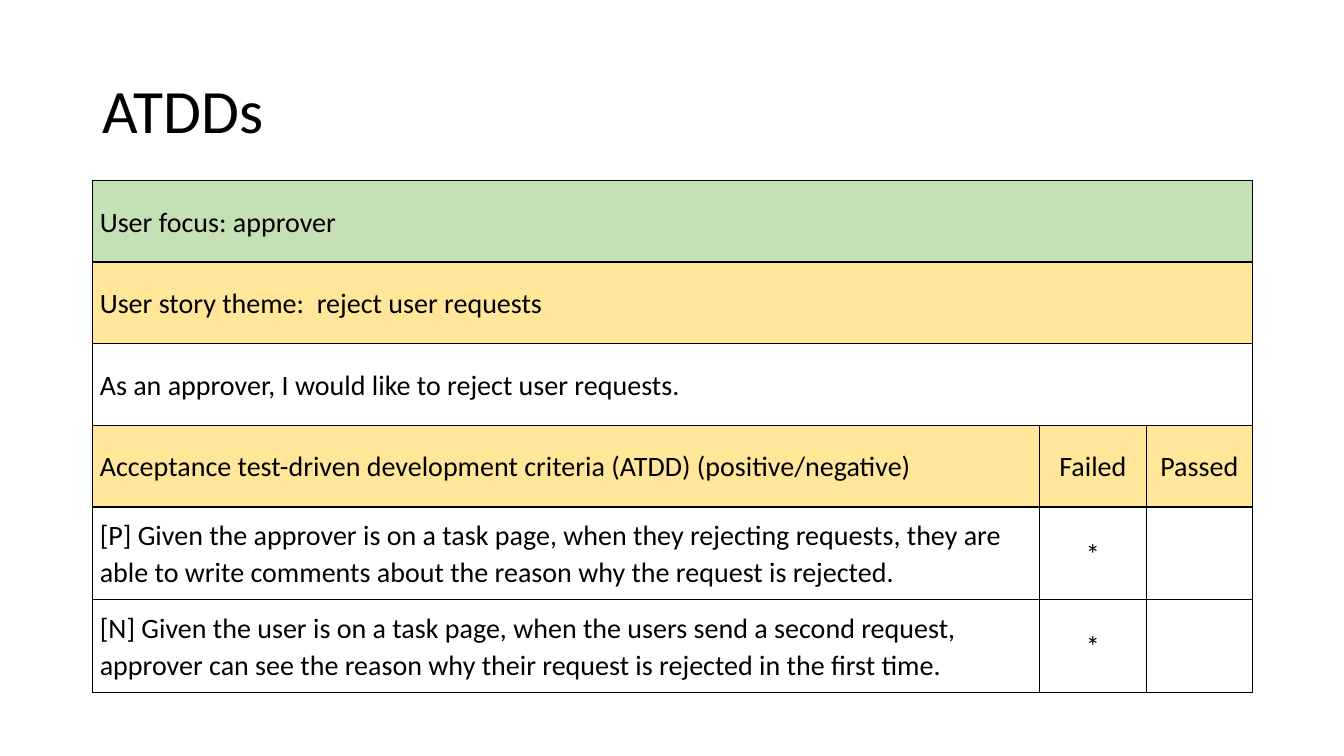
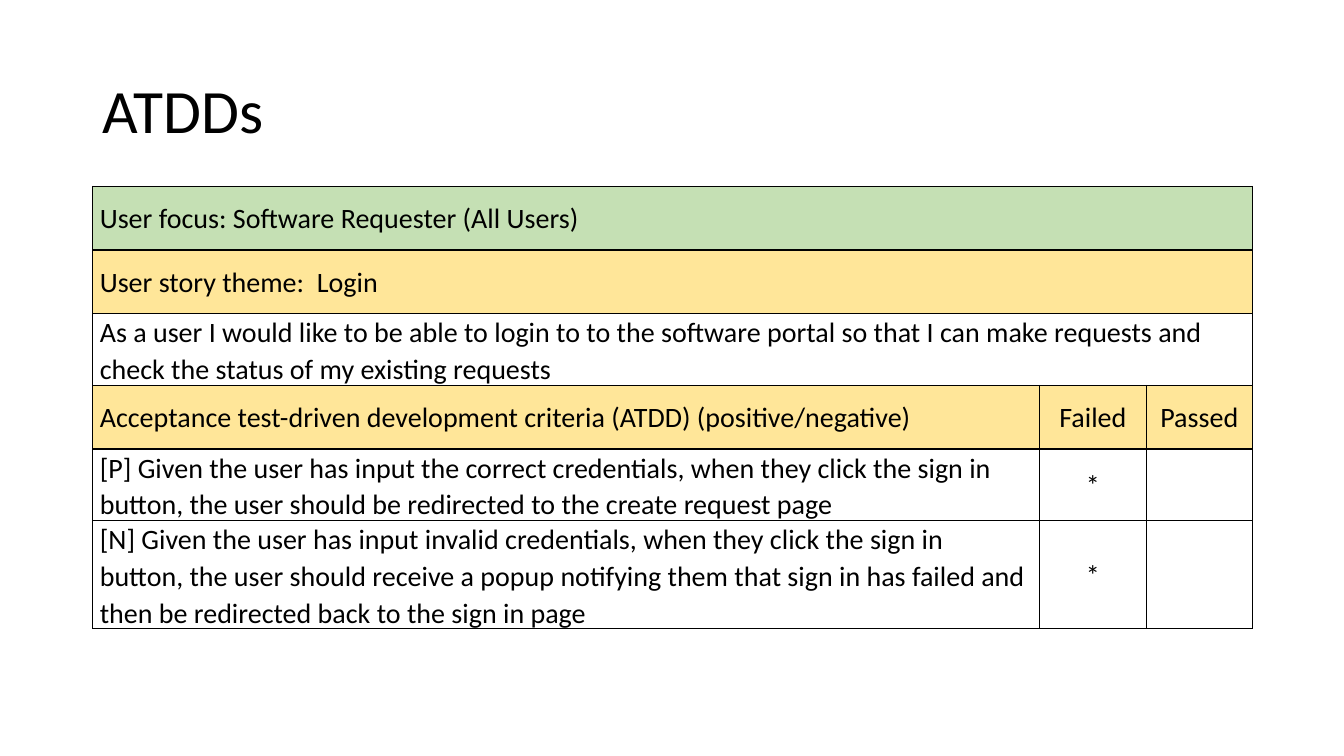
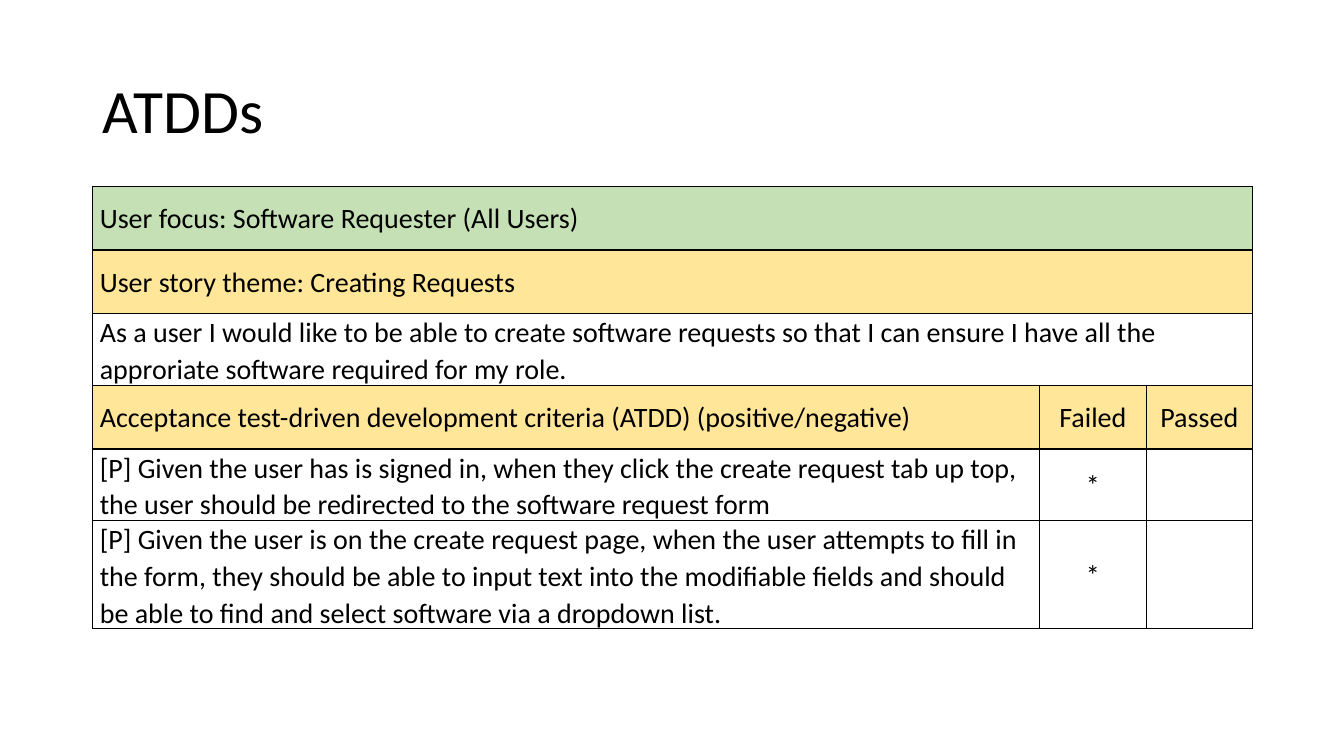
from lxml import etree
from pptx import Presentation
from pptx.dml.color import RGBColor
from pptx.enum.text import MSO_ANCHOR, PP_ALIGN
from pptx.oxml.ns import qn
from pptx.util import Inches, Pt

BLACK = RGBColor(0x00, 0x00, 0x00)
GREEN = RGBColor(0xC5, 0xE0, 0xB4)
YELLOW = RGBColor(0xFF, 0xE6, 0x99)
MIDDLE = MSO_ANCHOR.MIDDLE
LEFT, CENTER = PP_ALIGN.LEFT, PP_ALIGN.CENTER

FONT = "Calibri"
MARGIN_LEFT = 0.92
COLUMN_WIDTHS = (9.39, 1.06, 1.05)
CRITERIA_HEADER = (
    "Acceptance test-driven development criteria (ATDD) (positive/negative)",
    "Failed",
    "Passed",
)
FAILED_MARK = "*"

# Each story: table top, row heights, the three full-width rows, the criteria
STORIES = (
    (
        1.79,
        (0.81, 0.81, 0.81, 0.81, 0.92, 0.92),
        (
            "User focus: approver",
            "User story theme:  reject user requests",
            "As an approver, I would like to reject user requests.",
        ),
        (
            "[P] Given the approver is on a task page, when they rejecting requests, "
            "they are able to write comments about the reason why the request is rejected.",
            "[N] Given the user is on a task page, when the users send a second request, "
            "approver can see the reason why their request is rejected in the first time.",
        ),
    ),
    (
        1.85,
        (0.63,) * 6,
        (
            "User focus: Software Requester (All Users)",
            "User story theme:  Login",
            "As a user I would like to be able to login to to the software portal "
            "so that I can make requests and check the status of my existing requests",
        ),
        (
            "[P] Given the user has input the correct credentials, when they click the "
            "sign in button, the user should be redirected to the create request page",
            "[N] Given the user has input invalid credentials, when they click the sign in "
            "button, the user should receive a popup notifying them that sign in has failed "
            "and then be redirected back to the sign in page",
        ),
    ),
    (
        1.85,
        (0.63,) * 6,
        (
            "User focus: Software Requester (All Users)",
            "User story theme: Creating Requests",
            "As a user I would like to be able to create software requests so that I can "
            "ensure I have all the approriate software required for my role.",
        ),
        (
            "[P] Given the user has is signed in, when they click the create request tab "
            "up top, the user should be redirected to the software request form",
            "[P] Given the user is on the create request page, when the user attempts to "
            "fill in the form, they should be able to input text into the modifiable fields "
            "and should be able to find and select software via a dropdown list.",
        ),
    ),
)


class StoryDeck:
    """Holds the shared style and the current slide."""

    def __init__(self):
        self.presentation = Presentation()
        self.presentation.slide_width = Inches(13.33)
        self.presentation.slide_height = Inches(7.5)
        self.slide = None

    def add_slide(self):
        blank_layout = self.presentation.slide_layouts[6]
        self.slide = self.presentation.slides.add_slide(blank_layout)

    def set_text(self, frame, text, size, line_spacing, align=LEFT):
        frame.text = text
        paragraph = frame.paragraphs[0]
        paragraph.alignment = align
        paragraph.line_spacing = line_spacing
        for run in paragraph.runs:
            run.font.name = FONT
            run.font.size = Pt(size)
            run.font.color.rgb = BLACK

    def title(self, text):
        box = self.slide.shapes.add_textbox(
            Inches(MARGIN_LEFT), Inches(0.4), Inches(11.5), Inches(1.45))
        frame = box.text_frame
        frame.word_wrap = True
        frame.vertical_anchor = MIDDLE
        self.set_text(frame, text, 44, 0.9)

    def borders(self, cell):
        properties = cell._tc.get_or_add_tcPr()
        for side in ("a:lnL", "a:lnR", "a:lnT", "a:lnB"):
            line = etree.SubElement(properties, qn(side), w=str(Pt(1)))
            fill = etree.SubElement(line, qn("a:solidFill"))
            etree.SubElement(fill, qn("a:srgbClr"), val=str(BLACK))

    def cell(self, cell, text, color, align):
        self.borders(cell)
        if color is None:
            cell.fill.background()
        else:
            cell.fill.solid()
            cell.fill.fore_color.rgb = color
        cell.margin_left = cell.margin_right = Inches(0.07)
        cell.margin_top = cell.margin_bottom = 0
        cell.vertical_anchor = MIDDLE
        if text:
            self.set_text(cell.text_frame, text, 20, 1.07, align)

    def story_table(self, top, heights, story_rows, criteria):
        rows = [(text, "", "") for text in story_rows]
        rows.append(CRITERIA_HEADER)
        rows += [(criterion, FAILED_MARK, "") for criterion in criteria]
        colors = (GREEN, YELLOW, None, YELLOW) + (None,) * len(criteria)

        table = self.slide.shapes.add_table(
            len(rows), len(COLUMN_WIDTHS), Inches(MARGIN_LEFT), Inches(top),
            Inches(sum(COLUMN_WIDTHS)), Inches(sum(heights))).table
        table.first_row = table.horz_banding = False
        for column, width in zip(table.columns, COLUMN_WIDTHS):
            column.width = Inches(width)

        for r, (texts, color, height) in enumerate(zip(rows, colors, heights)):
            table.rows[r].height = Inches(height)
            for c, text in enumerate(texts):
                self.cell(table.cell(r, c), text, color, CENTER if c else LEFT)
            # Focus, theme and story run across the full width
            if r < len(story_rows):
                table.cell(r, 0).merge(table.cell(r, len(COLUMN_WIDTHS) - 1))


def main():
    deck = StoryDeck()
    for story in STORIES:
        deck.add_slide()
        deck.title("ATDDs")
        deck.story_table(*story)
    deck.presentation.save("out.pptx")


if __name__ == "__main__":
    main()
